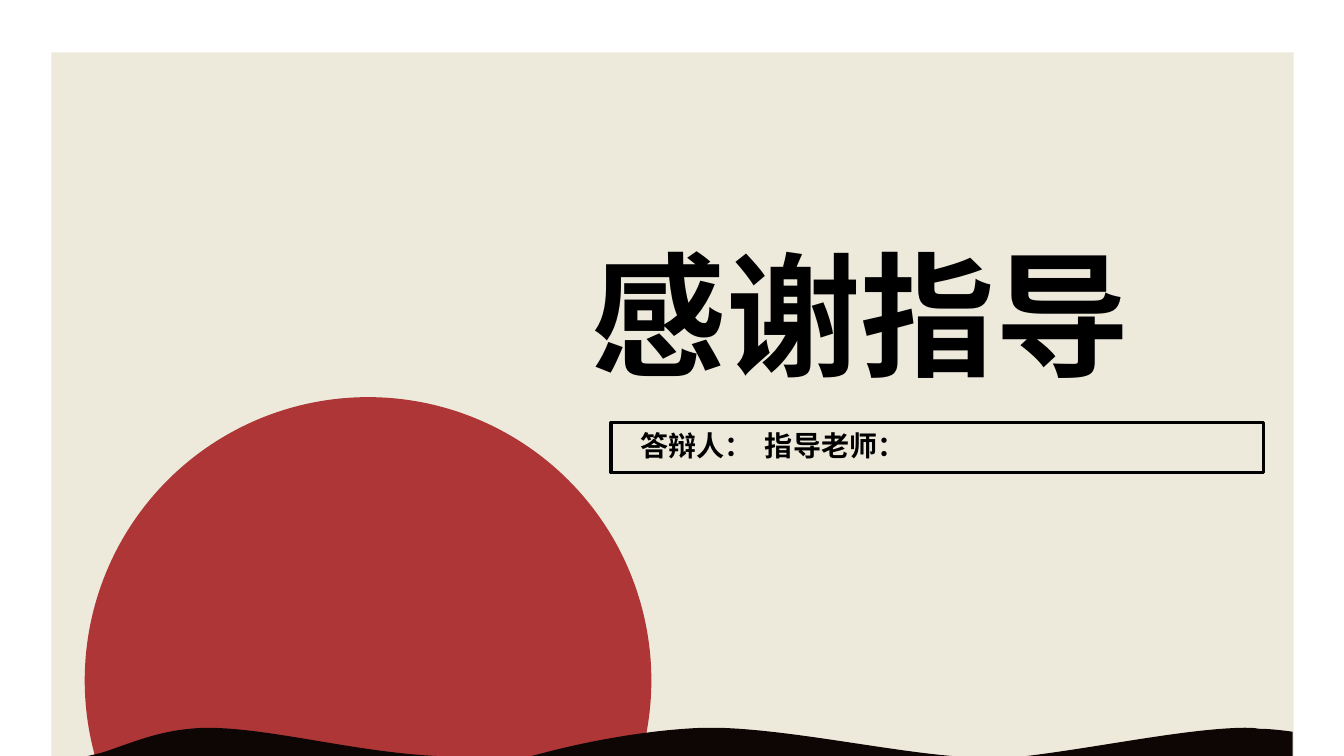
from lxml.etree import SubElement
from pptx import Presentation
from pptx.dml.color import RGBColor
from pptx.enum.shapes import MSO_SHAPE as Shape
from pptx.enum.text import MSO_ANCHOR as Anchor, MSO_AUTO_SIZE as AutoSize, PP_ALIGN as Align
from pptx.oxml.ns import qn
from pptx.util import Inches, Pt

COLORS = {"panel": "EDEADB", "sun": "AE3637", "wave": "0E0505", "ink": "000000"}
FONT = "Noto Sans CJK JP"

WAVES = [
    ((5.39, 7.47),
     [((5.84, 7.35), (6.44, 7.24), (6.97, 7.22)),
      ((7.02, 7.22), (7.07, 7.22), (7.13, 7.22)),
      ((7.83, 7.24), (8.75, 7.44), (9.44, 7.5))],
     [(5.27, 7.5)]),
    ((9.61, 7.55),
     [((10.45, 7.52), (11.62, 7.23), (12.34, 7.22)),
      ((12.39, 7.22), (12.44, 7.22), (12.48, 7.23)),
      ((12.57, 7.23), (12.66, 7.24), (12.75, 7.25))],
     [(12.82, 7.26), (12.82, 7.55), (9.44, 7.55)]),
    ((1, 7.47),
     [((1.32, 7.37), (1.59, 7.23), (2.05, 7.22)),
      ((2.68, 7.22), (3.51, 7.46), (4.33, 7.5))],
     [(4.5, 7.5), (0.87, 7.5)]),
]


def color(name):
    return RGBColor.from_string(COLORS[name])


def fill_plain(shape, name):
    shape.shadow.inherit = False
    shape.fill.solid()
    shape.fill.fore_color.rgb = color(name)
    shape.line.fill.background()


def add_filled(slide, kind, box, name):
    shape = slide.shapes.add_shape(kind, *map(Inches, box))
    fill_plain(shape, name)


def bend_segments(shape, curves):
    segments = list(shape._element.iter(qn("a:lnTo")))
    for segment, curve in zip(segments, curves):
        bend = segment.makeelement(qn("a:cubicBezTo"), {})
        for x, y in curve:
            SubElement(bend, qn("a:pt"), x=str(Inches(x) - shape.left),
                       y=str(Inches(y) - shape.top))
        segment.getparent().replace(segment, bend)


def add_wave(slide, start, curves, base):
    points = [start] + [curve[-1] for curve in curves] + base
    vertices = [(Inches(x), Inches(y)) for x, y in points]
    builder = slide.shapes.build_freeform(*vertices[0], scale=1.0)
    builder.add_line_segments(vertices[1:], close=True)
    wave = builder.convert_to_shape()
    bend_segments(wave, curves)
    fill_plain(wave, "wave")


def add_frame(shapes, box):
    frame = shapes.add_shape(Shape.RECTANGLE, *map(Inches, box))
    frame.shadow.inherit = False
    frame.fill.background()
    frame.line.color.rgb = color("ink")
    frame.line.width = Pt(2.25)


def write_text(shape, text, size):
    text_frame = shape.text_frame
    text_frame.word_wrap = True
    text_frame.auto_size = AutoSize.NONE
    text_frame.vertical_anchor = Anchor.MIDDLE
    paragraph = text_frame.paragraphs[0]
    paragraph.alignment = Align.JUSTIFY
    run = paragraph.add_run()
    run.text = text
    run.font.name = FONT
    run.font.size = Pt(size)
    run.font.bold = True
    run.font.color.rgb = color("ink")
    east_asian = run.font._element.makeelement(qn("a:ea"), {"typeface": FONT})
    run.font._element.find(qn("a:latin")).addnext(east_asian)


def add_title(slide, box, text, size):
    title = slide.shapes.title
    title.left, title.top, title.width, title.height = map(Inches, box)
    write_text(title, text, size)
    slide.shapes._spTree.append(title._element)


def add_names(slide):
    group = slide.shapes.add_group_shape()
    add_frame(group.shapes, (6.06, 4.19, 6.47, 0.5))
    label = group.shapes.add_textbox(*map(Inches, (6.25, 4.2, 6.09, 0.44)))
    write_text(label, "答辩人：  指导老师：", 20)


def main():
    presentation = Presentation()
    presentation.slide_width = Inches(13.33)
    presentation.slide_height = Inches(7.5)
    slide = presentation.slides.add_slide(presentation.slide_layouts[5])
    add_filled(slide, Shape.RECTANGLE, (0.51, 0.52, 12.32, 6.98), "panel")
    add_filled(slide, Shape.OVAL, (0.84, 3.94, 5.62, 5.62), "sun")
    for wave in WAVES:
        add_wave(slide, *wave)
    add_title(slide, (5.77, 2.24, 6.97, 1.72), "感谢指导", 96)
    add_names(slide)
    presentation.save("out.pptx")


if __name__ == "__main__":
    main()
